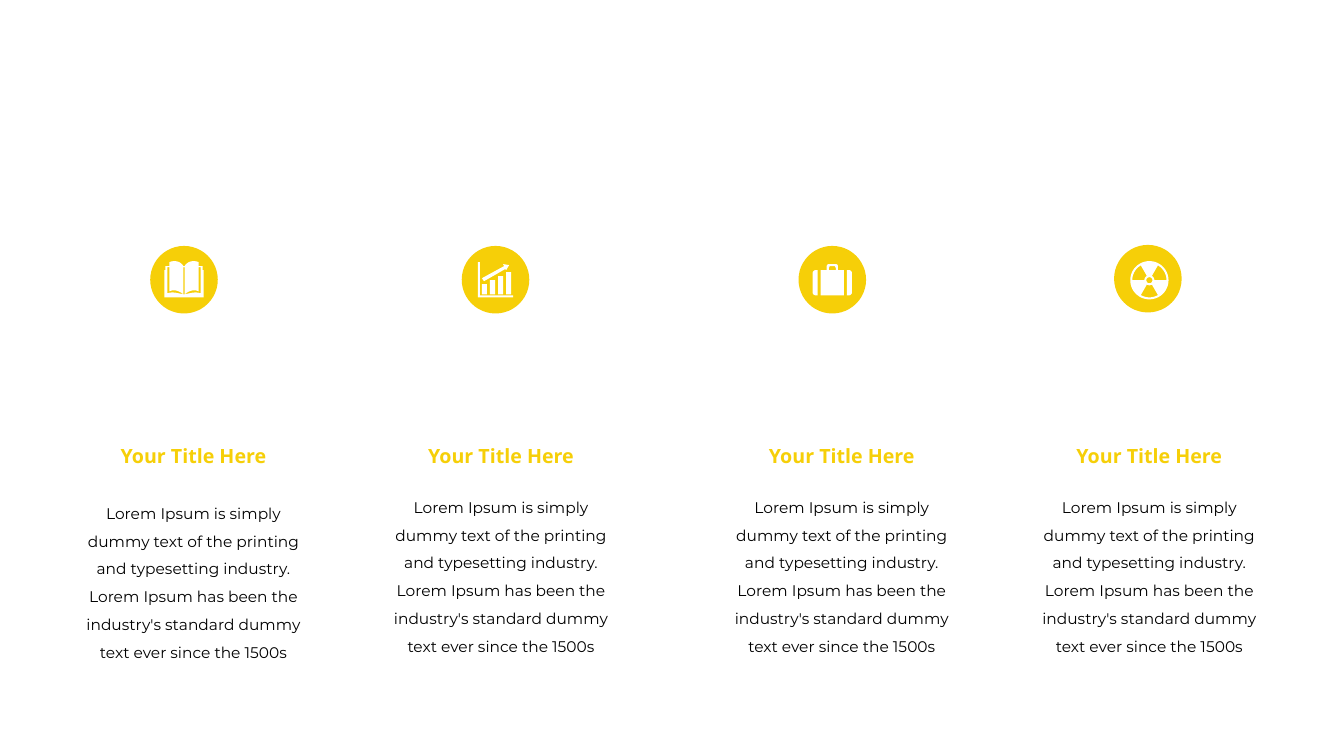
from dataclasses import dataclass
from math import cos, radians, sin

from pptx import Presentation
from pptx.dml.color import RGBColor
from pptx.enum.shapes import MSO_SHAPE
from pptx.enum.text import MSO_AUTO_SIZE, PP_ALIGN
from pptx.util import Inches, Pt

Point = tuple[float, float]
Contour = list[Point]


@dataclass(frozen=True)
class Theme:
    accent: RGBColor = RGBColor(0xF6, 0xCF, 0x08)
    icon: RGBColor = RGBColor(0xFF, 0xFF, 0xFF)
    text: RGBColor = RGBColor(0x00, 0x00, 0x00)
    title_font: str = "Open Sans"
    title_size: Pt = Pt(14)
    body_font: str = "Montserrat"
    body_size: Pt = Pt(11)


@dataclass(frozen=True)
class Column:
    text_left: float
    body_top: float
    badge: Point
    icon_at: Point
    icon: list[Contour]


THEME = Theme()
TITLE = "Your Title Here"
BODY = (
    "Lorem Ipsum is simply dummy text of the printing and typesetting industry. "
    "Lorem Ipsum has been the industry's standard dummy text ever since the 1500s"
)


def arc(cx: float, cy: float, radius: float, start: int, end: int) -> Contour:
    steps = max(6, abs(end - start) // 8)
    angles = [radians(start + (end - start) * i / steps) for i in range(steps + 1)]
    return [(cx + radius * cos(a), cy + radius * sin(a)) for a in angles]


def curve(a: Point, b: Point, c: Point, d: Point) -> Contour:
    def blend(t: float, axis: int) -> float:
        u = 1 - t
        return u**3 * a[axis] + 3 * u * u * t * b[axis] + 3 * u * t * t * c[axis] + t**3 * d[axis]

    return [(blend(i / 8, 0), blend(i / 8, 1)) for i in range(9)]


def box(left: float, top: float, right: float, bottom: float) -> Contour:
    return [(left, top), (right, top), (right, bottom), (left, bottom)]


def mirror(contour: Contour, width: float) -> Contour:
    return [(width - x, y) for x, y in reversed(contour)]


def book_icon() -> list[Contour]:
    width = 0.39
    half = [(0, 0.36), (0, 0.09), (0.01, 0.09), (0.01, 0.05), (0.05, 0.05), (0.05, 0.01)]
    half += curve((0.05, 0.01), (0.1, -0.01), (0.16, 0), (0.19, 0.05))
    gap = [(0.03, 0.06), (0.05, 0.06)]
    gap += curve((0.05, 0.3), (0.09, 0.28), (0.14, 0.29), (0.19, 0.33))
    gap += curve((0.19, 0.33), (0.13, 0.32), (0.09, 0.3), (0.03, 0.32))
    spine = box(0.19, 0.06, 0.2, 0.33)
    return [half + mirror(half, width), gap, mirror(gap, width), spine]


def chart_icon() -> list[Contour]:
    bars = [box(0.04 + 0.08 * i, 0.22 - 0.04 * i, 0.09 + 0.08 * i, 0.32) for i in range(4)]
    arrow = [(0.25, 0.02), (0.31, 0.03), (0.28, 0.08), (0.27, 0.07),
             (0.06, 0.19), (0.04, 0.16), (0.26, 0.04)]
    axes = [(0, 0), (0.02, 0), (0.02, 0.33), (0.35, 0.33), (0.35, 0.35), (0, 0.35)]
    return [*bars, arrow, axes]


def case_icon() -> list[Contour]:
    side = [(0.05, 0.06), (0.05, 0.31), *arc(0.03, 0.28, 0.03, 90, 180), *arc(0.03, 0.09, 0.03, 180, 270)]
    body = [(0.08, 0.31), (0.08, 0.06), (0.14, 0.06), *arc(0.16, 0.02, 0.02, 180, 270)]
    handle = [(0.16, 0.06), (0.16, 0.04), (0.17, 0.02)]
    halves = [body + mirror(body, 0.39), handle + mirror(handle, 0.39)]
    return [side, mirror(side, 0.39), *halves]


def trefoil_icon() -> list[Contour]:
    c = 0.19
    blades = [arc(c, c, 0.17, a, a + 60) + arc(c, c, 0.05, a + 60, a) for a in (60, 180, 300)]
    return [arc(c, c, 0.19, 0, 360), arc(c, c, 0.03, 0, 360), *blades]


COLUMNS = [
    Column(0.74, 4.86, (1.49, 2.44), (1.63, 2.59), book_icon()),
    Column(3.79, 4.8, (4.58, 2.44), (4.74, 2.6), chart_icon()),
    Column(7.17, 4.8, (7.92, 2.44), (8.06, 2.62), case_icon()),
    Column(10.22, 4.8, (11.05, 2.43), (11.21, 2.59), trefoil_icon()),
]


def paint(sp, color: RGBColor) -> None:
    sp.shadow.inherit = False
    sp.fill.solid()
    sp.fill.fore_color.rgb = color
    sp.line.fill.background()


def draw_badge(s, col: Column) -> None:
    left, top = col.badge
    size = Inches(0.67)
    paint(s.shapes.add_shape(MSO_SHAPE.OVAL, Inches(left), Inches(top), size, size), THEME.accent)


def draw_icon(s, col: Column) -> None:
    left, top = col.icon_at
    contours = [[(Inches(left + x), Inches(top + y)) for x, y in c] for c in col.icon]
    builder = s.shapes.build_freeform(*contours[0][0])
    for i, contour in enumerate(contours):
        if i:
            builder.move_to(*contour[0])
        builder.add_line_segments(contour[1:], close=True)
    paint(builder.convert_to_shape(), THEME.icon)


def add_text(s, text: str, left: float, top: float, width: float, height: float,
             font: str, size: Pt, color: RGBColor, bold: bool, spacing: float) -> None:
    tf = s.shapes.add_textbox(Inches(left), Inches(top), Inches(width), Inches(height)).text_frame
    tf.word_wrap = True
    tf.auto_size = MSO_AUTO_SIZE.SHAPE_TO_FIT_TEXT
    p = tf.paragraphs[0]
    p.text = text
    p.alignment = PP_ALIGN.CENTER
    p.line_spacing = spacing
    p.font.name = font
    p.font.size = size
    p.font.bold = bold
    p.font.color.rgb = color


def draw_column(s, col: Column) -> None:
    draw_badge(s, col)
    draw_icon(s, col)
    add_text(s, TITLE, col.text_left, 4.35, 2.36, 0.34,
             THEME.title_font, THEME.title_size, THEME.accent, True, 1.0)
    add_text(s, BODY, col.text_left - 0.08, col.body_top, 2.52, 1.77,
             THEME.body_font, THEME.body_size, THEME.text, False, 1.5)


def main() -> None:
    prs = Presentation()
    prs.slide_width = Inches(13.33)
    prs.slide_height = Inches(7.5)
    s = prs.slides.add_slide(prs.slide_layouts[6])
    for col in COLUMNS:
        draw_column(s, col)
    prs.save("out.pptx")


if __name__ == "__main__":
    main()
